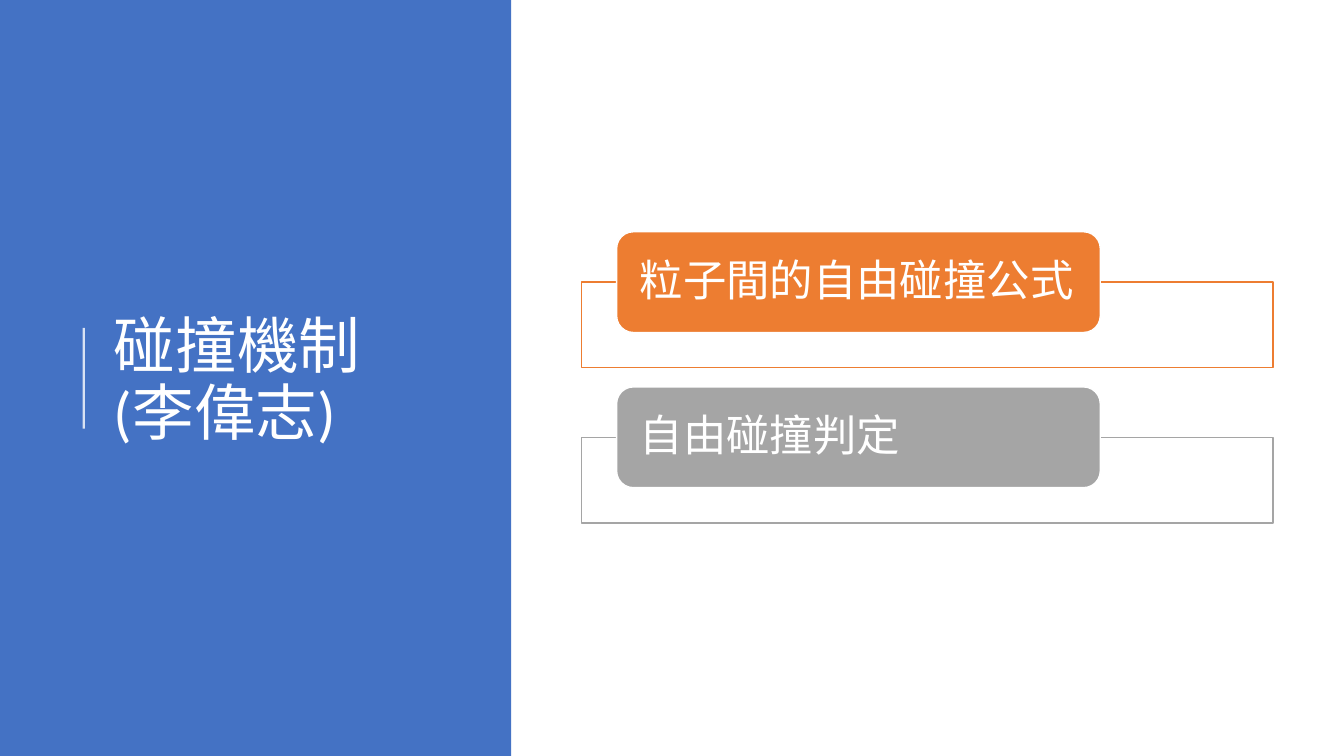
from dataclasses import dataclass

from lxml import etree
from pptx import Presentation
from pptx.dml.color import RGBColor
from pptx.enum.shapes import MSO_CONNECTOR, MSO_SHAPE
from pptx.enum.text import MSO_ANCHOR, PP_ALIGN
from pptx.oxml.ns import qn
from pptx.util import Cm, Pt

RECTANGLE = MSO_SHAPE.RECTANGLE
ROUNDED = MSO_SHAPE.ROUNDED_RECTANGLE
STRAIGHT = MSO_CONNECTOR.STRAIGHT
MIDDLE = MSO_ANCHOR.MIDDLE
LEFT = PP_ALIGN.LEFT

COLOURS = {"blue": "4472C4", "orange": "ED7D31", "grey": "A5A5A5", "white": "FFFFFF"}
FONT_NAME = "Calibri"
TOPIC_TOP = 5.84
TOPIC_PITCH = 3.91
FRAME_DROP = 1.27


@dataclass(frozen=True)
class Area:
    left: float
    top: float
    width: float
    height: float

    def lengths(self) -> tuple:
        return Cm(self.left), Cm(self.top), Cm(self.width), Cm(self.height)


@dataclass(frozen=True)
class Topic:
    text: str
    colour: str


TOPICS = [Topic("粒子間的自由碰撞公式", "orange"), Topic("自由碰撞判定", "grey")]


def rgb(name: str) -> RGBColor:
    return RGBColor.from_string(COLOURS[name])


def set_opacity(fill_parent, percent: int) -> None:
    colour = fill_parent.find(qn("a:solidFill")).find(qn("a:srgbClr"))
    etree.SubElement(colour, qn("a:alpha"), val=str(percent * 1000))


def add_block(page, kind, area: Area, fill: str, line: str | None = None):
    box = page.shapes.add_shape(kind, *area.lengths())
    box.shadow.inherit = False
    box.fill.solid()
    box.fill.fore_color.rgb = rgb(fill)
    if line:
        box.line.color.rgb = rgb(line)
        box.line.width = Pt(1)
    else:
        box.line.fill.background()
    return box


def write_text(box, text: str, size: int, frame_format: dict, para_format: dict) -> None:
    frame = box.text_frame
    frame.text = text
    para = frame.paragraphs[0]
    font_format = {"name": FONT_NAME, "size": Pt(size)}
    formats = [
        (frame, {"word_wrap": True, "vertical_anchor": MIDDLE} | frame_format),
        (para, {"alignment": LEFT, "line_spacing": 0.9} | para_format),
    ]
    formats += [(span.font, font_format) for span in para.runs]
    for target, values in formats:
        for name, value in values.items():
            setattr(target, name, value)
    for span in para.runs:
        span.font.color.rgb = rgb("white")


def add_title(page) -> None:
    add_block(page, RECTANGLE, Area(0, 0, 12.88, 19.05), "blue")
    box = page.shapes.add_textbox(*Area(2.62, 1.98, 9.37, 15.29).lengths())
    write_text(box, "碰撞機制\v(李偉志)", 44, {}, {})
    rule = page.shapes.add_connector(STRAIGHT, Cm(2.11), Cm(10.8), Cm(2.11), Cm(8.26))
    rule.line.color.rgb = rgb("white")
    rule.line.width = Pt(1.5)
    properties = rule._element.spPr
    set_opacity(properties.find(qn("a:ln")), 80)
    etree.SubElement(properties, qn("a:effectLst"))


def add_topic(page, topic: Topic, top: float) -> None:
    frame = add_block(page, RECTANGLE, Area(14.66, top + FRAME_DROP, 17.42, 2.16), "white", topic.colour)
    set_opacity(frame._element.spPr, 90)
    label = add_block(page, ROUNDED, Area(15.54, top, 12.19, 2.54), topic.colour, "white")
    insets = {
        "margin_left": Cm(0.46),
        "margin_right": Cm(0.46),
        "margin_top": 0,
        "margin_bottom": 0,
    }
    write_text(label, topic.text, 31, insets, {"space_after": Pt(11)})


def main() -> None:
    deck = Presentation()
    deck.slide_width, deck.slide_height = Cm(33.87), Cm(19.05)
    page = deck.slides.add_slide(deck.slide_layouts[6])
    add_title(page)
    for index, topic in enumerate(TOPICS):
        add_topic(page, topic, TOPIC_TOP + index * TOPIC_PITCH)
    deck.save("out.pptx")


if __name__ == "__main__":
    main()
